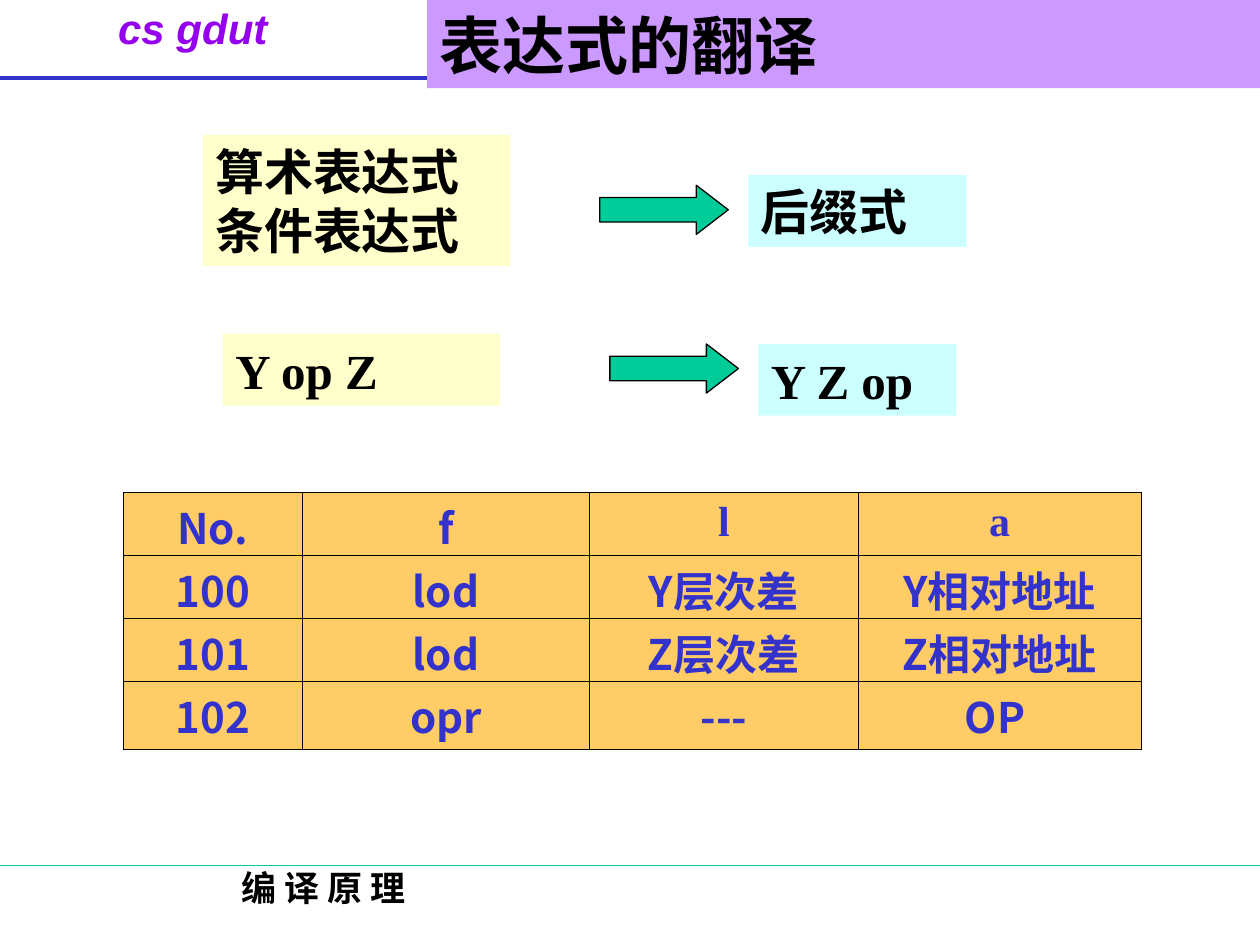
from lxml.etree import SubElement as Sub
from pptx import Presentation
from pptx.dml.color import RGBColor
from pptx.enum.shapes import MSO_CONNECTOR as Conn, MSO_SHAPE as Shape
from pptx.enum.text import MSO_ANCHOR as Anchor, PP_ALIGN as Align
from pptx.oxml.ns import qn
from pptx.util import Inches, Pt

BLACK = RGBColor(0x00, 0x00, 0x00)
BLUE = RGBColor(0x33, 0x33, 0xCC)
GREEN = RGBColor(0x00, 0xCC, 0x99)
PURPLE = RGBColor(0x94, 0x00, 0xED)
LILAC = RGBColor(0xCC, 0x99, 0xFF)
CREAM = RGBColor(0xFF, 0xFF, 0xCC)
AQUA = RGBColor(0xCC, 0xFF, 0xFF)
ORANGE = RGBColor(0xFF, 0xCC, 0x66)
SERIF, SANS, CJK = "Times New Roman", "Arial", "Noto Sans CJK SC"

# Content
TITLE = "表达式的翻译"
BRAND = "cs gdut"
COURSE = "编 译 原 理"
BOXES = [  # text, font, fill, (left, top, width, height)
    ("算术表达式\n条件表达式", CJK, CREAM, (1.61, 1.07, 2.44, 1.04)),
    ("后缀式", SERIF, AQUA, (5.94, 1.39, 1.73, 0.57)),
    ("Y op Z", SERIF, CREAM, (1.77, 2.65, 2.2, 0.57)),
    ("Y Z op", SERIF, AQUA, (6.02, 2.73, 1.57, 0.57)),
]
ARROWS = [(4.76, 1.47), (4.84, 2.73)]
RULES = [(0.62, BLUE, 2.25), (6.87, GREEN, 0.75)]  # top, colour, weight
ROWS = [
    ["No.", "f", "l", "a"],
    ["100", "lod", "Y层次差", "Y相对地址"],
    ["101", "lod", "Z层次差", "Z相对地址"],
    ["102", "opr", "---", "OP "],
]
WIDTHS = [1.42, 2.28, 2.13, 2.25]
HEIGHTS = [0.5, 0.5, 0.5, 0.54]


def write(frame, text, size, font, color=BLACK, align=Align.LEFT, italic=False):
    frame.text = text
    for para in frame.paragraphs:
        para.alignment = align
        face = para.font
        face.name, face.size, face.bold = font, Pt(size), True
        face.italic = italic
        face.color.rgb = color


def paint(shape, color):
    shape.fill.solid()
    shape.fill.fore_color.rgb = color


def place(shape, *box):
    shape.left, shape.top, shape.width, shape.height = map(Inches, box)


def edge(cell, side, weight):
    line = Sub(cell._tc.get_or_add_tcPr(), qn(f"a:ln{side}"), w=str(Pt(weight)))
    Sub(Sub(line, qn("a:solidFill")), qn("a:srgbClr"), val=str(BLACK))


deck = Presentation()
deck.slide_width, deck.slide_height = Inches(10), Inches(7.5)
slide = deck.slides.add_slide(deck.slide_layouts[5])
shapes = slide.shapes

# Header and footer
for top, color, weight in RULES:
    y = Inches(top)
    rule = shapes.add_connector(Conn.STRAIGHT, 0, y, Inches(10), y)
    rule.line.color.rgb = color
    rule.line.width = Pt(weight)
    Sub(rule._element.spPr, qn("a:effectLst"))

brand = shapes.add_textbox(*map(Inches, (0.19, -0.03, 2.68, 0.62))).text_frame
brand.word_wrap = True
write(brand, BRAND, 24, SANS, PURPLE, Align.CENTER, True)
course = shapes.add_textbox(*map(Inches, (0.5, 6.83, 4.14, 0.5))).text_frame
course.word_wrap = True
write(course, COURSE, 20, SERIF, align=Align.CENTER)

# Title band, brought in front of the header rule
title = shapes.title
place(title, 3.39, 0, 6.61, 0.7)
paint(title, LILAC)
title.text_frame.vertical_anchor = Anchor.TOP
write(title.text_frame, TITLE, 36, SERIF)
title._element.getparent().append(title._element)

# Expressions and their postfix forms
for text, font, fill, box in BOXES:
    shape = shapes.add_shape(Shape.RECTANGLE, *map(Inches, box))
    shape.shadow.inherit = False
    paint(shape, fill)
    shape.line.fill.background()
    shape.text_frame.vertical_anchor = Anchor.MIDDLE if "\n" in text else Anchor.TOP
    write(shape.text_frame, text, 28, font)

for left, top in ARROWS:
    arrow = shapes.add_shape(
        Shape.RIGHT_ARROW, *map(Inches, (left, top, 1.02, 0.39)))
    arrow.adjustments[1] = 0.65
    arrow.shadow.inherit = False
    paint(arrow, GREEN)
    arrow.line.color.rgb = BLACK
    arrow.line.width = Pt(0.75)

# Instruction table
rows, cols = len(ROWS), len(WIDTHS)
table = shapes.add_table(
    rows, cols, Inches(0.98), Inches(3.91),
    Inches(sum(WIDTHS)), Inches(sum(HEIGHTS))).table
for col, width in zip(table.columns, WIDTHS):
    col.width = Inches(width)
for row, height in zip(table.rows, HEIGHTS):
    row.height = Inches(height)
for r, line in enumerate(ROWS):
    for c, text in enumerate(line):
        cell = table.cell(r, c)
        font = SERIF if r == 0 and c > 1 else CJK
        write(cell.text_frame, text, 24, font, BLUE, Align.CENTER)
        cell.margin_bottom = 0
        if font == CJK:  # tall line, tightened to fit the row
            cell.margin_top = Inches(0.06)
            cell.text_frame.paragraphs[0].line_spacing = 0.9
        outer = {"L": c == 0, "R": c == cols - 1, "T": r == 0, "B": r == rows - 1}
        for side, rim in outer.items():
            edge(cell, side, 1.08 if rim else 0.45)
        paint(cell, ORANGE)

deck.save("out.pptx")
